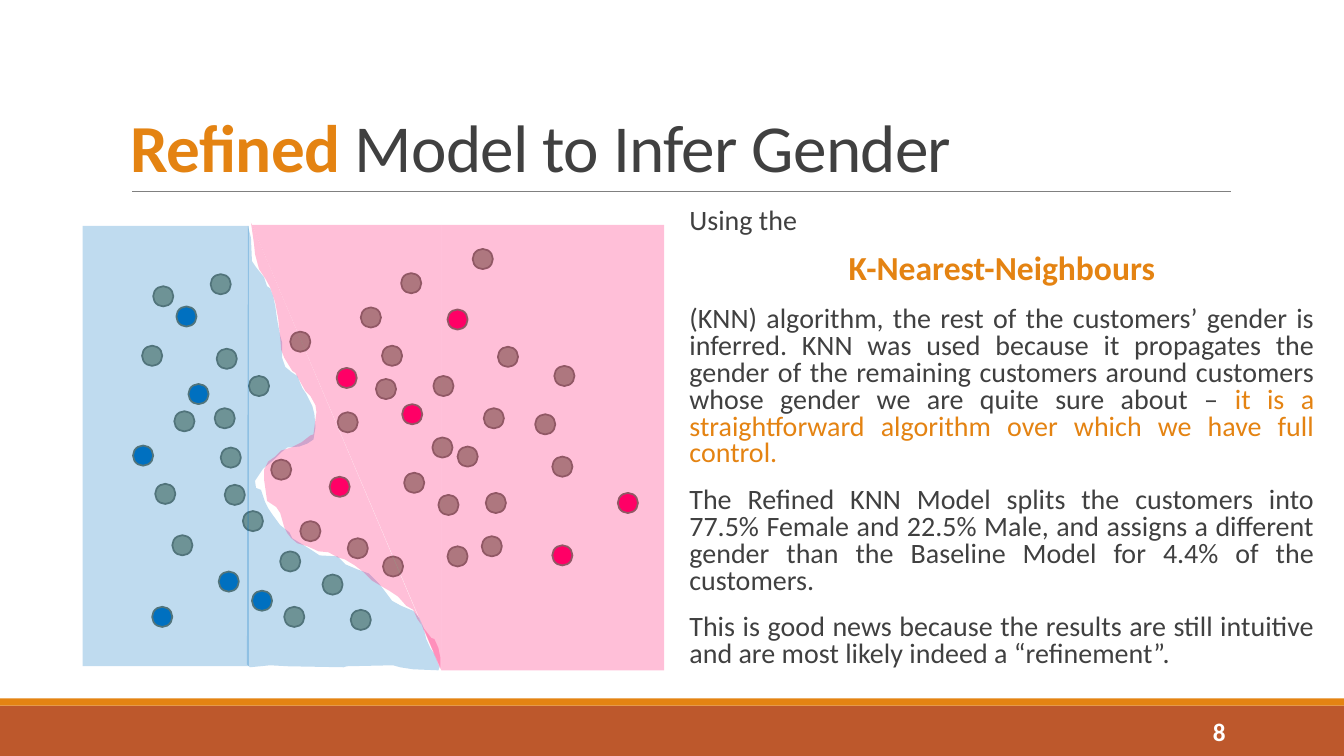
from dataclasses import dataclass

from lxml.etree import SubElement
from pptx import Presentation
from pptx.dml.color import RGBColor
from pptx.enum.shapes import MSO_CONNECTOR, MSO_SHAPE
from pptx.enum.text import MSO_ANCHOR as Anchor, PP_ALIGN as Align
from pptx.oxml.ns import qn
from pptx.util import Cm, Length, Pt

FONT = "Calibri"
ORANGE, RUST, GREY, WHITE = "E48312", "BD582C", "404040", "FFFFFF"
MALE, FEMALE, UNKNOWN, OUTLINE = "0070C0", "FF0066", "94A088", "6D7665"
DOT_SIZE = 20


@dataclass
class Customers:
    color: str
    corners: list[tuple[int, int]]


@dataclass
class Region:
    preset: MSO_SHAPE
    box: tuple[int, int, int, int]
    color: str
    rotation: int = 0


@dataclass
class Border:
    color: str
    points: list[tuple[int, int]]


@dataclass
class Passage:
    runs: list[tuple[str, str]]
    size: int = 20
    bold: bool = False
    align: Align = Align.JUSTIFY


# Positions are in grid steps of 0.0254 cm
CUSTOMERS = [
    Customers(UNKNOWN, [
        (152, 284), (141, 343), (209, 272), (215, 346), (288, 329), (269, 456), (223, 481),
        (358, 305), (213, 405), (298, 517), (435, 491), (345, 534), (454, 443), (429, 434),
        (444, 542), (401, 469), (482, 489), (348, 605), (548, 453), (478, 532), (171, 531),
        (241, 507), (430, 373), (282, 602), (531, 411), (480, 405), (550, 363), (173, 408),
        (154, 480), (219, 444), (278, 547), (494, 344), (320, 570), (380, 552), (398, 271),
        (379, 343), (469, 247), (335, 409), (373, 376), (247, 373)]),
    Customers(MALE, [(132, 442), (187, 381), (151, 602), (217, 567), (175, 304), (250, 586)]),
    Customers(FEMALE, [(334, 365), (327, 473), (399, 401), (548, 541), (613, 489), (444, 307)]),
]

MALE_BORDER = Border(MALE, [
    (246, 224), (249, 236), (250, 259), (254, 265), (262, 275), (265, 284), (268, 286),
    (271, 294), (273, 303), (275, 317), (278, 333), (280, 340), (280, 355), (283, 364),
    (289, 369), (295, 373), (300, 385), (304, 391), (310, 403), (312, 411), (313, 424),
    (311, 436), (305, 440), (297, 443), (285, 444), (280, 448), (274, 454), (267, 460),
    (261, 465), (253, 477), (254, 484), (259, 486), (263, 498), (266, 504), (270, 510),
    (278, 521), (287, 528), (290, 534), (300, 540), (308, 545), (317, 551), (335, 552),
    (343, 560), (355, 565), (366, 569), (371, 574), (376, 579), (380, 584), (389, 596),
    (398, 601), (410, 606), (416, 613), (420, 622), (423, 634), (427, 643), (431, 649),
    (436, 662), (435, 665), (410, 664), (397, 662), (390, 660), (344, 661), (341, 662),
    (286, 661), (268, 660), (248, 662), (245, 659)])
FEMALE_BORDER = Border(FEMALE, [
    (249, 221), (252, 242), (253, 252), (257, 267), (263, 276), (268, 285), (273, 300),
    (276, 316), (278, 335), (279, 347), (282, 355), (290, 368), (293, 370), (298, 379),
    (303, 388), (308, 393), (313, 402), (314, 409), (311, 431), (308, 432), (299, 439),
    (289, 444), (279, 447), (273, 453), (266, 458), (262, 466), (262, 476), (265, 497),
    (274, 503), (278, 509), (282, 523), (285, 529), (289, 534), (295, 539), (305, 542),
    (316, 547), (326, 548), (335, 553), (342, 555), (352, 561), (361, 568), (369, 576),
    (379, 582), (386, 586), (395, 592), (403, 601), (410, 605), (414, 614), (421, 624),
    (428, 633), (431, 634), (435, 643), (437, 653), (437, 664)])
MALE_AREA = Region(MSO_SHAPE.RECTANGLE, (82, 224, 165, 437), MALE)
FEMALE_AREAS = [
    Region(MSO_SHAPE.ISOSCELES_TRIANGLE, (250, 223, 188, 442), FEMALE, 180),
    Region(MSO_SHAPE.RECTANGLE, (438, 223, 221, 442), FEMALE),
]

PASSAGES = [
    Passage([("Using the", GREY)]),
    Passage([("K-Nearest-Neighbours", ORANGE)], 24, True, Align.CENTER),
    Passage([("(KNN) algorithm, the rest of the customers’ gender is inferred. KNN was used "
              "because it propagates the gender of the remaining customers around customers "
              "whose gender we are quite sure about – ", GREY),
             ("it is a straightforward algorithm over which we have full control.", ORANGE)]),
    Passage([("The Refined KNN Model splits the customers into 77.5% Female and 22.5% Male, "
              "and assigns a different gender than the Baseline Model for 4.4% of the "
              "customers.", GREY)]),
    Passage([("This is good news because the results are still intuitive and are most likely "
              "indeed a “refinement”.", GREY)]),
]


def grid(steps: float) -> Length:
    return Cm(0.0254 * steps)


def rgb(color: str) -> RGBColor:
    return RGBColor.from_string(color)


def paint(shape, color: str, opacity: int = 100) -> None:
    shape.shadow.inherit = False
    shape.fill.solid()
    shape.fill.fore_color.rgb = rgb(color)
    shape.line.fill.background()
    if opacity < 100:
        tint = shape.fill._xPr.find(qn("a:solidFill"))[0]
        SubElement(tint, qn("a:alpha"), val=str(opacity * 1000))


def add_preset(slide, preset: MSO_SHAPE, box: tuple, color: str, opacity: int = 100):
    shape = slide.shapes.add_shape(preset, *map(grid, box))
    paint(shape, color, opacity)
    return shape


def add_customers(slide, customers: Customers) -> None:
    for left, top in customers.corners:
        dot = add_preset(slide, MSO_SHAPE.OVAL, (left, top, DOT_SIZE, DOT_SIZE), customers.color)
        dot.line.color.rgb = rgb(OUTLINE)
        dot.line.width = Pt(1.25)


def add_region(slide, region: Region) -> None:
    shape = add_preset(slide, region.preset, region.box, region.color, 25)
    shape.rotation = region.rotation
    if region.preset == MSO_SHAPE.ISOSCELES_TRIANGLE:
        shape.adjustments[0] = 0


def add_border(slide, border: Border) -> None:
    start, *rest = border.points
    builder = slide.shapes.build_freeform(*start, scale=grid(1))
    builder.add_line_segments(rest, close=True)
    paint(builder.convert_to_shape(), border.color, 25)


def add_text_frame(slide, box: tuple, anchor: Anchor):
    frame = slide.shapes.add_textbox(*map(grid, box)).text_frame
    frame.word_wrap = True
    frame.vertical_anchor = anchor
    return frame


def write(paragraph, passage: Passage) -> None:
    paragraph.alignment = passage.align
    paragraph.font.name = FONT
    paragraph.font.size = Pt(passage.size)
    paragraph.font.bold = passage.bold
    for text, color in passage.runs:
        run = paragraph.add_run()
        run.text = text
        run.font.color.rgb = rgb(color)


def main() -> None:
    presentation = Presentation()
    presentation.slide_width, presentation.slide_height = Cm(33.87), Cm(19.05)
    slide = presentation.slides.add_slide(presentation.slide_layouts[6])

    # Footer bands and title rule
    add_preset(slide, MSO_SHAPE.RECTANGLE, (0, 700, 1333.3, 50), RUST)
    add_preset(slide, MSO_SHAPE.RECTANGLE, (0, 693, 1333.3, 7), ORANGE)
    rule = slide.shapes.add_connector(MSO_CONNECTOR.STRAIGHT, *map(grid, (131, 190, 1221, 190)))
    rule.line.color.rgb = rgb("808080")
    rule.line.width = Pt(0.5)
    SubElement(rule._element.spPr, qn("a:effectLst"))

    # Customers under the two tinted areas
    for customers in CUSTOMERS:
        add_customers(slide, customers)
    add_border(slide, MALE_BORDER)
    add_region(slide, MALE_AREA)
    add_border(slide, FEMALE_BORDER)
    for region in FEMALE_AREAS:
        add_region(slide, region)

    # Title
    title = add_text_frame(slide, (120, 31, 1100, 159), Anchor.BOTTOM).paragraphs[0]
    write(title, Passage([("Refined", ORANGE), (" Model to Infer Gender", GREY)], 48,
                         align=Align.LEFT))
    title.line_spacing = 0.85
    title.runs[0].font.bold = True
    for run in title.runs:
        run.font._element.set("spc", "-50")

    # Slide number
    number = add_text_frame(slide, (1083, 706, 143, 40), Anchor.MIDDLE).paragraphs[0]
    write(number, Passage([("8", WHITE)], 18, True, Align.RIGHT))

    # Explanation
    body = add_text_frame(slide, (684, 202, 620, 477), Anchor.TOP)
    body.margin_left = body.margin_right = 0
    for index, passage in enumerate(PASSAGES):
        paragraph = body.add_paragraph() if index else body.paragraphs[0]
        write(paragraph, passage)
        paragraph.line_spacing = 0.8
        paragraph.space_before, paragraph.space_after = Pt(12), Pt(2)

    presentation.save("out.pptx")


if __name__ == "__main__":
    main()
